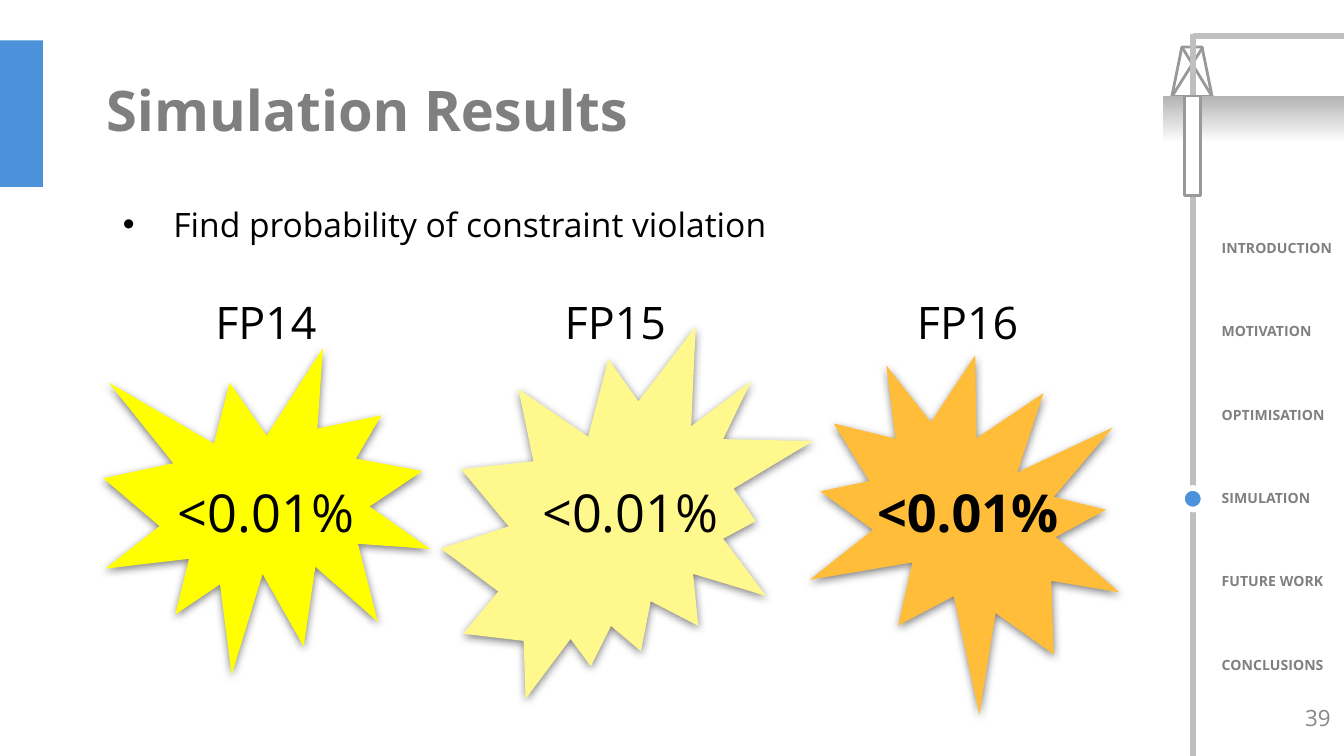
from lxml.etree import SubElement
from pptx import Presentation
from pptx.dml.color import RGBColor
from pptx.enum.shapes import MSO_CONNECTOR, MSO_SHAPE as SHAPE
from pptx.enum.text import MSO_ANCHOR as ANCHOR, MSO_AUTO_SIZE, PP_ALIGN as ALIGN
from pptx.oxml import parse_xml
from pptx.oxml.ns import nsdecls, qn
from pptx.util import Pt

TITLE = "Simulation Results"
BULLET = "Find probability of constraint violation"
PAGE = "39"
SECTIONS = ["INTRODUCTION", "MOTIVATION", "OPTIMISATION",
            "SIMULATION", "FUTURE WORK", "CONCLUSIONS"]
CURRENT = "SIMULATION"
# name, probability, bold, label left, value left, burst shape, (left, top, side), rotation, colour
RESULTS = [
    ("FP14", "<0.01%", False, 77, 77, SHAPE.EXPLOSION1, (55.4, 186.5, 175), 0, "yellow"),
    ("FP15", "<0.01%", False, 264.2, 272.2, SHAPE.EXPLOSION2, (236.2, 175, 199.4), 0, "cream"),
    ("FP16", "<0.01%", True, 452.9, 452.9, SHAPE.EXPLOSION1, (431.3, 186.5, 175), 227.7, "orange"),
]
THEME = {
    "font": "Open Sans",
    "size": {"nav": 7.5, "page": 12, "body": 18, "label": 24, "value": 28, "title": 30},
    "color": {"black": "000000", "white": "FFFFFF", "grey": "7F7F7F", "page": "888888",
              "steel": "999999", "pipe": "BFBFBF", "ground": "B3B3B3", "blue": "4B92DB",
              "yellow": "FFFF00", "cream": "FFF88C", "orange": "FFBD39"},
}
NAV_TOP, NAV_STEP, NAV_H = 123.8, 44.64, 18
PIPE_X = 639

prs = Presentation()
prs.slide_width, prs.slide_height = Pt(720), Pt(405)
s = prs.slides.add_slide(prs.slide_layouts[1])


def rgb(name):
    return RGBColor.from_string(THEME["color"][name])


def place(sp, box):
    sp.left, sp.top, sp.width, sp.height = map(Pt, box)


def write(sp, text, size, color="black", bold=False, align=ALIGN.LEFT,
          anchor=ANCHOR.TOP, inset=(7.2, 7.2), spacing=1.0, bullet=None):
    tf = sp.text_frame
    tf.word_wrap, tf.auto_size, tf.vertical_anchor = True, MSO_AUTO_SIZE.NONE, anchor
    tf.margin_left = tf.margin_right = Pt(inset[0])
    tf.margin_top = tf.margin_bottom = Pt(inset[1])
    p = tf.paragraphs[0]
    p.alignment, p.line_spacing, p.space_before = align, spacing, Pt(0)
    if bullet:
        pPr = p._p.get_or_add_pPr()
        pPr.set("marL", str(Pt(36)))
        pPr.set("indent", str(Pt(-27)))
        SubElement(pPr, qn("a:buChar"), char=bullet)
    r = p.add_run()
    r.text = text
    r.font.name, r.font.size, r.font.bold = THEME["font"], Pt(THEME["size"][size]), bold
    r.font.color.rgb = rgb(color)


def add_text(box, text, size, **fmt):
    write(s.shapes.add_textbox(*map(Pt, box)), text, size, **fmt)


def add_shape(kind, box, fill=None, line=None, width=1.5):
    sp = s.shapes.add_shape(kind, *map(Pt, box))
    sp.shadow.inherit = False
    if fill:
        sp.fill.solid()
        sp.fill.fore_color.rgb = rgb(fill)
    else:
        sp.fill.background()
    if line:
        sp.line.color.rgb, sp.line.width = rgb(line), Pt(width)
    else:
        sp.line.fill.background()
    return sp


def add_line(start, end, color, width):
    c = s.shapes.add_connector(MSO_CONNECTOR.STRAIGHT, *map(Pt, start + end))
    c.line.color.rgb, c.line.width = rgb(color), Pt(width)
    SubElement(c._element.spPr, qn("a:effectLst"))


def drop_shadow(sp):
    spPr = sp._element.spPr
    spPr.remove(spPr.find(qn("a:effectLst")))
    spPr.append(parse_xml(
        f'<a:effectLst {nsdecls("a")}><a:outerShdw blurRad="{Pt(4.5)}" dist="{Pt(1.5)}" '
        f'dir="5400000" rotWithShape="0"><a:srgbClr val="{THEME["color"]["black"]}">'
        '<a:alpha val="50000"/></a:srgbClr></a:outerShdw></a:effectLst>'))


def draw_rig():
    tower = add_shape(SHAPE.TRAPEZOID, (627.8, 25.2, 21.6, 26.6), line="steel")
    tower.adjustments[0] = 0.25
    add_line((633.6, 25.9), (649.4, 51.8), "steel", 1.5)
    add_line((644.4, 25.2), (627.8, 51.8), "steel", 1.5)
    add_shape(SHAPE.RECTANGLE, (0, 21.6, 23, 78.5), "blue")
    ground = add_shape(SHAPE.RECTANGLE, (622.8, 51.4, 97.2, 25.2))
    ground.fill.gradient()
    ground.fill.gradient_angle = 270
    for stop, color in zip(ground.fill.gradient_stops, ("white", "ground")):
        stop.color.rgb = rgb(color)
    ground.rotation = 180
    add_line((PIPE_X, 18), (PIPE_X, 405), "pipe", 3)
    add_shape(SHAPE.RECTANGLE, (634.5, 51.4, 8.8, 53.2), "white", "steel")
    add_line((PIPE_X, 19.4), (720, 19.4), "pipe", 3)


def draw_navigation():
    for i, name in enumerate(SECTIONS):
        top = NAV_TOP + i * NAV_STEP
        add_text((634.3, top, 140, NAV_H), name, "nav", color="grey", bold=True,
                 anchor=ANCHOR.MIDDLE, inset=(20.16, 2.16))
    dot, middle = 11.5, NAV_TOP + SECTIONS.index(CURRENT) * NAV_STEP + NAV_H / 2
    add_shape(SHAPE.OVAL, (PIPE_X - dot / 2, middle + 0.5 - dot / 2, dot, dot),
              "blue", "white", 3)


def draw_results():
    for *_, kind, (left, top, side), rotation, color in RESULTS:
        burst = add_shape(kind, (left, top, side, side), color)
        burst.rotation = rotation
        drop_shadow(burst)
    for name, value, bold, label_x, value_x, *_ in RESULTS:
        add_text((label_x, 150.5, 131, 48.2), name, "label", align=ALIGN.CENTER)
        add_text((value_x, 249.8, 131, 48.2), value, "value", bold=bold,
                 align=ALIGN.CENTER, anchor=ANCHOR.MIDDLE)


draw_rig()
draw_navigation()
title, body = s.shapes.title, s.placeholders[1]
place(title, (49.7, 21.6, 620.6, 78.5))
write(title, TITLE, "title", color="grey", bold=True, anchor=ANCHOR.MIDDLE, spacing=0.9)
place(body, (49.7, 91.4, 561.6, 265.7))
write(body, BULLET, "body", spacing=1.5, bullet="•")
add_text((558, 373.7, 162, 21.6), PAGE, "page", color="page", align=ALIGN.RIGHT,
         anchor=ANCHOR.MIDDLE, inset=(7.2, 3.6))
draw_results()
prs.save("out.pptx")
